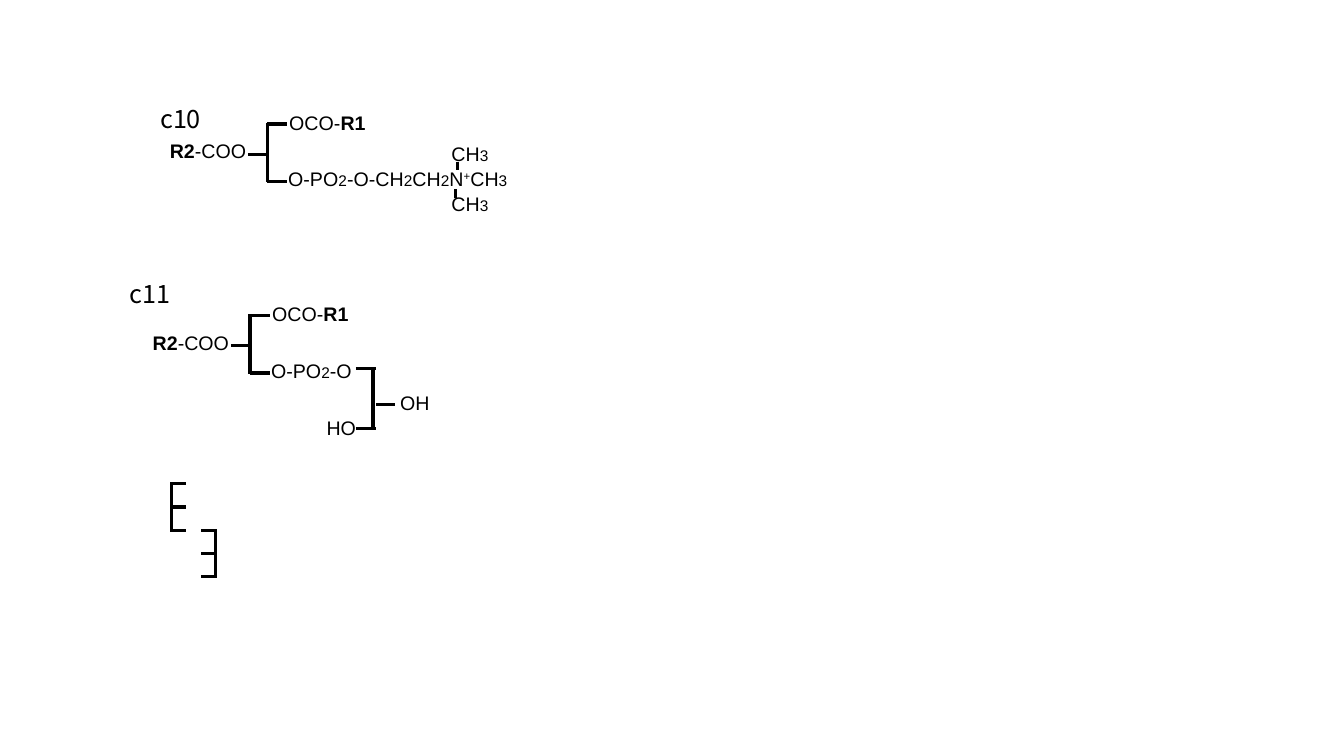
from lxml.etree import SubElement
from pptx import Presentation
from pptx.dml.color import RGBColor
from pptx.enum.shapes import MSO_CONNECTOR
from pptx.enum.text import MSO_AUTO_SIZE, PP_ALIGN
from pptx.oxml.ns import qn
from pptx.util import Inches, Pt

INK = "000000"
TEXT_HEIGHT = 0.34
METHYL = [("CH", ""), ("3", "sub")]
PHOSPHATE = [("O-PO", ""), ("2", "sub"), ("-O", "")]
CHOLINE = [("-CH", ""), ("2", "sub"), ("CH", ""), ("2", "sub"),
           ("N", ""), ("+", "sup")] + METHYL


def color(value):
    return RGBColor.from_string(value)


def add_text(parent, runs, x, y, width, height=TEXT_HEIGHT, size=14,
             font="Arial", align=PP_ALIGN.LEFT, wrap=True):
    sp = parent.shapes.add_textbox(Inches(x), Inches(y), Inches(width), Inches(height))
    tf = sp.text_frame
    tf.word_wrap = wrap
    tf.auto_size = MSO_AUTO_SIZE.SHAPE_TO_FIT_TEXT
    p = tf.paragraphs[0]
    p.alignment = align
    for text, style in runs:
        r = p.add_run()
        r.text = text
        r.font.name = font
        r.font.size = Pt(11 if style == "sub" else size)
        r.font.bold = style == "bold"
        r.font.color.rgb = color(INK)
        if style == "sup":
            r.font._element.set("baseline", "30000")


def add_bond(parent, x1, y1, x2, y2):
    line = parent.shapes.add_connector(
        MSO_CONNECTOR.STRAIGHT, Inches(x1), Inches(y1), Inches(x2), Inches(y2))
    line.line.color.rgb = color(INK)
    line.line.width = Pt(2.25)
    SubElement(line._element.spPr, qn("a:effectLst"))


def add_label(s, text, x, y):
    add_text(s, [(text, "")], x, y, 0.72, height=0.4, size=18, font="Noto Sans CJK JP")


def add_lipid(s, x, y, head, head_width):
    group = s.shapes.add_group_shape()
    add_text(group, [("OCO-", ""), ("R1", "bold")], x + 0.12, y - 0.17, 1.21)
    add_text(group, [("R2", "bold"), ("-COO", "")], x - 1.1, y + 0.11, 0.99,
             align=PP_ALIGN.RIGHT)
    add_text(group, head, x + 0.11, y + 0.39, head_width)
    add_bond(group, x, y, x, y + 0.59)
    for dy in (0.01, 0.58):
        add_bond(group, x, y + dy, x + 0.2, y + dy)
    add_bond(group, x - 0.19, y + 0.31, x, y + 0.31)
    return group


def add_phosphatidylcholine(s, x, y):
    group = add_lipid(s, x, y, PHOSPHATE + CHOLINE, 3.02)
    for text_dy, bond_dx, bond_dy in ((0.14, 1.89, 0.39), (0.64, 1.87, 0.66)):
        add_text(group, METHYL, x + 1.73, y + text_dy, 0.57, wrap=False)
        add_bond(group, x + bond_dx, y + bond_dy, x + bond_dx, y + bond_dy + 0.08)


def add_phosphatidylglycerol(s, x, y):
    group = add_lipid(s, x, y, PHOSPHATE, 1.04)
    add_text(group, [("OH", "")], x + 1.39, y + 0.71, 0.51)
    add_text(group, [("HO", "")], x + 0.66, y + 0.96, 0.68)
    add_bond(group, x + 1.22, y + 0.54, x + 1.22, y + 1.13)
    for dy in (0.54, 1.13):
        add_bond(group, x + 1.05, y + dy, x + 1.25, y + dy)
    add_bond(group, x + 1.25, y + 0.89, x + 1.44, y + 0.89)


def add_backbone(s, x, y, direction):
    group = s.shapes.add_group_shape()
    add_bond(group, x, y, x, y + 0.48)
    for i in range(3):
        tooth_y = y + 0.01 + i * 0.23
        add_bond(group, x - 0.01 * direction, tooth_y, x + 0.15 * direction, tooth_y)


def main():
    prs = Presentation()
    prs.slide_width, prs.slide_height = Inches(13.33), Inches(7.5)
    s = prs.slides.add_slide(prs.slide_layouts[6])
    add_label(s, "c10", 1.49, 0.98)
    add_phosphatidylcholine(s, 2.65, 1.22)
    add_label(s, "c11", 1.19, 2.71)
    add_phosphatidylglycerol(s, 2.48, 3.12)
    add_backbone(s, 1.7, 4.79, 1)
    add_backbone(s, 2.14, 5.25, -1)
    prs.save("out.pptx")


if __name__ == "__main__":
    main()
